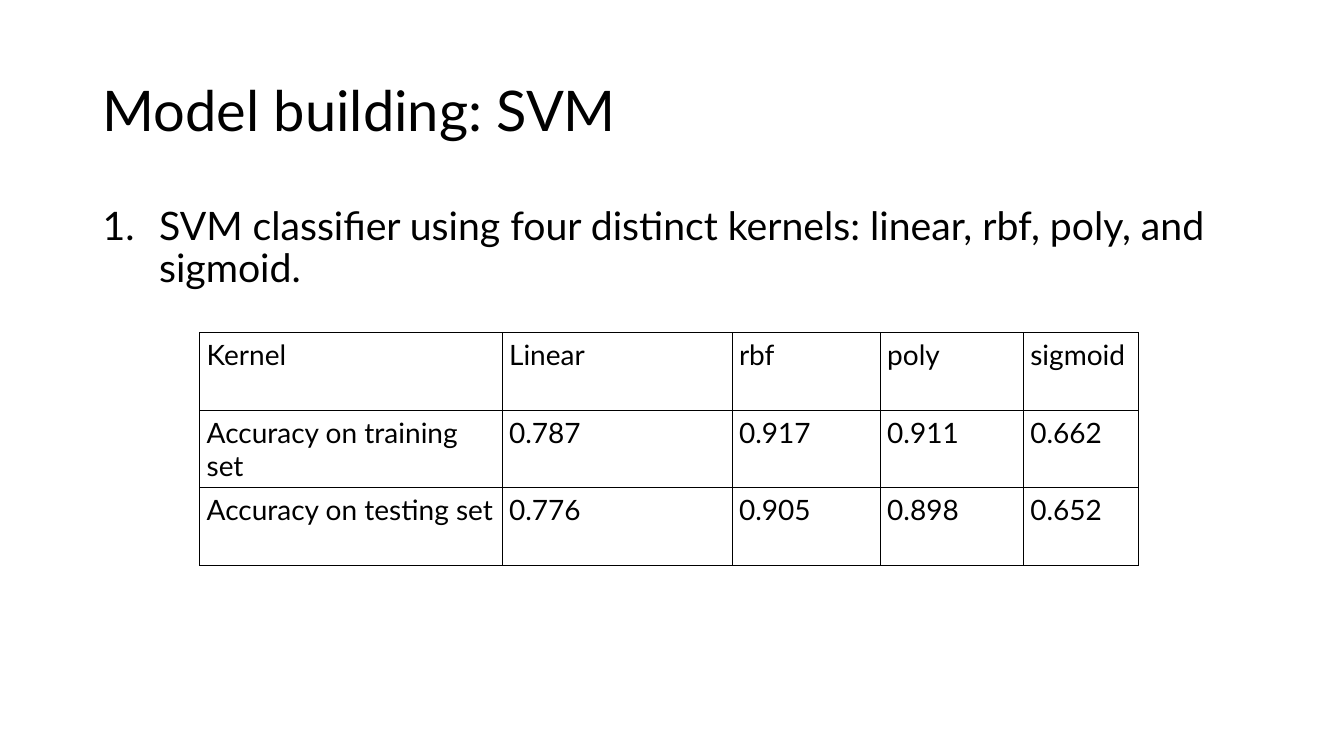
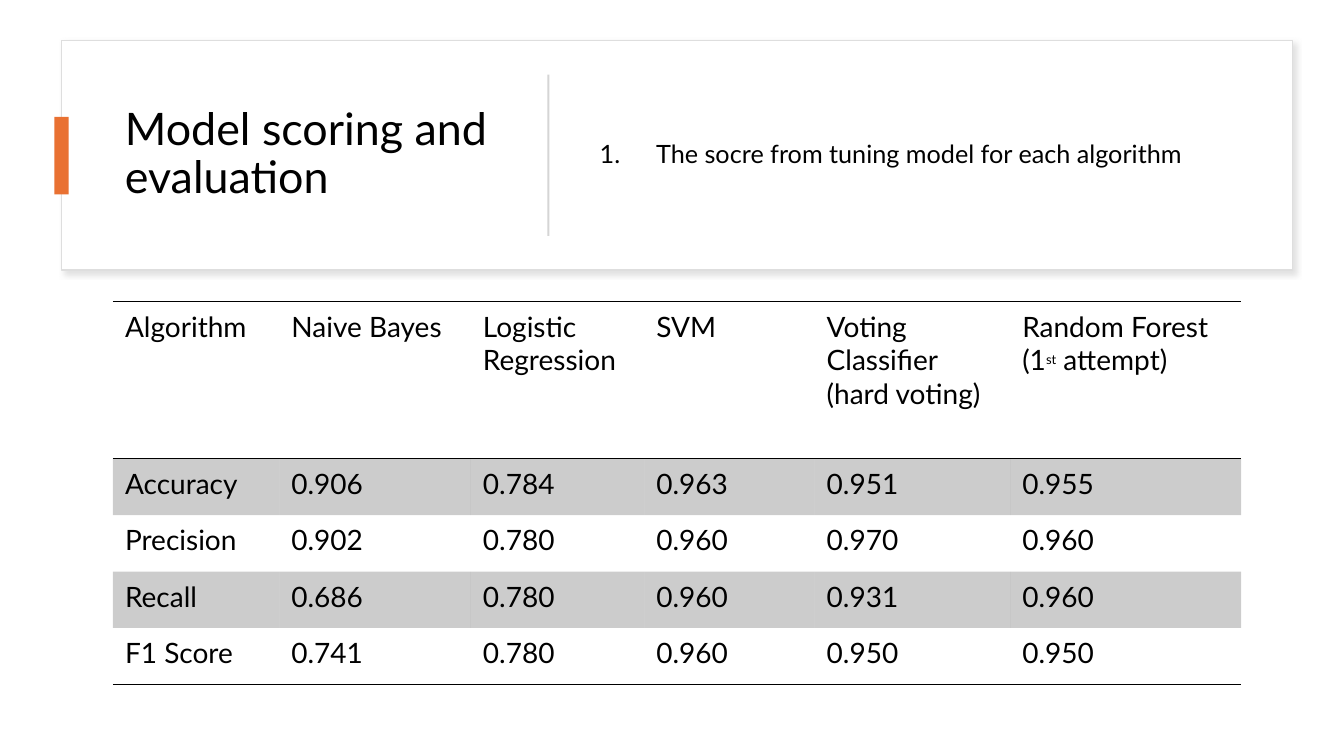
from dataclasses import dataclass

from lxml import etree
from pptx import Presentation
from pptx.dml.color import RGBColor as Rgb
from pptx.enum.shapes import MSO_SHAPE as Shape
from pptx.enum.text import MSO_ANCHOR as Anchor, PP_ALIGN as Align
from pptx.oxml.ns import qn
from pptx.util import Inches, Pt


@dataclass(frozen=True)
class Theme:
    font: str = "Lato"
    ink: str = "000000"
    paper: str = "FFFFFF"
    accent: str = "E97132"
    card_edge: str = "DEDEDE"
    divider: str = "D5D5D5"
    shadow: str = "C5C5C5"
    band_alpha: int = 20
    title: int = 40
    card_title: int = 32
    body: int = 28
    card_body: int = 18
    cell: int = 20
    ordinal: int = 16
    indent: float = 0.56
    plain_table: str = "{2D5ABB26-0587-4C30-8999-92F81FD0307C}"


THEME = Theme()

KERNEL_ROWS = [
    ["Kernel", "Linear", "rbf", "poly", "sigmoid"],
    ["Accuracy on training set", "0.787", "0.917", "0.911", "0.662"],
    ["Accuracy on testing set", "0.776", "0.905", "0.898", "0.652"],
]
# A tuple inside a paragraph marks superscript text
SCORE_ROWS = [
    ["Algorithm", "Naive Bayes", "Logistic Regression", "SVM",
     "Voting Classifier\n(hard voting)",
     ["Random Forest\n(1", ("st",), " attempt)"]],
    ["Accuracy", "0.906", "0.784", "0.963", "0.951", "0.955"],
    ["Precision", "0.902", "0.780", "0.960", "0.970", "0.960"],
    ["Recall", "0.686", "0.780", "0.960", "0.931", "0.960"],
    ["F1 Score", "0.741", "0.780", "0.960", "0.950", "0.950"],
]


def child(parent, tag, **attributes):
    return etree.SubElement(parent, qn(tag), attributes)


def style_run(run, size):
    run.font.name = THEME.font
    run.font.size = Pt(size)
    run.font.color.rgb = Rgb.from_string(THEME.ink)


# Text
def add_text(slide, box, text, size, anchor=Anchor.MIDDLE):
    frame = slide.shapes.add_textbox(*map(Inches, box)).text_frame
    frame.word_wrap = True
    frame.vertical_anchor = anchor
    frame.text = text
    paragraph = frame.paragraphs[0]
    paragraph.alignment = Align.LEFT
    paragraph.line_spacing = 0.9
    style_run(paragraph.runs[0], size)
    return paragraph


def add_numbered(slide, box, text, size, anchor=Anchor.MIDDLE):
    paragraph = add_text(slide, box, text, size, anchor)
    paragraph.space_before = Pt(10)
    properties = paragraph._p.get_or_add_pPr()
    properties.set("marL", str(Inches(THEME.indent)))
    properties.set("indent", str(-Inches(THEME.indent)))
    child(properties, "a:buFont", typeface="+mj-lt")
    child(properties, "a:buAutoNum", type="arabicPeriod")


# Plain rectangles
def add_rect(slide, box, fill, edge=None):
    rect = slide.shapes.add_shape(Shape.RECTANGLE, *map(Inches, box))
    rect.shadow.inherit = False
    rect.fill.solid()
    rect.fill.fore_color.rgb = Rgb.from_string(fill)
    if edge:
        rect.line.color.rgb = Rgb.from_string(edge)
        rect.line.width = Pt(1)
    else:
        rect.line.fill.background()
    return rect


def add_soft_shadow(rect):
    effects = rect._element.spPr.find(qn("a:effectLst"))
    shadow = child(effects, "a:outerShdw", blurRad=str(Pt(4)), dist=str(Pt(3)),
                   dir=str(45 * 60000), algn="tl", rotWithShape="0")
    colour = child(shadow, "a:srgbClr", val=THEME.shadow)
    child(colour, "a:alpha", val="50000")


# Tables
def set_borders(cell, sides, width):
    properties = cell._tc.get_or_add_tcPr()
    for side in "LRTB":
        if side in sides:
            line = child(properties, f"a:ln{side}", w=str(Pt(width)))
            child(child(line, "a:solidFill"), "a:srgbClr", val=THEME.ink)
        else:
            child(child(properties, f"a:ln{side}", w="0"), "a:noFill")


def set_fill(cell, banded):
    if not banded:
        cell.fill.background()
        return
    cell.fill.solid()
    cell.fill.fore_color.rgb = Rgb.from_string(THEME.ink)
    colour = cell._tc.tcPr.find(qn("a:solidFill")).find(qn("a:srgbClr"))
    child(colour, "a:alpha", val=str(THEME.band_alpha * 1000))


def fill_cell(cell, content):
    pieces = [content] if isinstance(content, str) else content
    paragraph = cell.text_frame.paragraphs[0]
    for piece in pieces:
        raised = isinstance(piece, tuple)
        for index, line in enumerate((piece[0] if raised else piece).split("\n")):
            if index:
                paragraph = cell.text_frame.add_paragraph()
            run = paragraph.add_run()
            run.text = line
            style_run(run, THEME.ordinal if raised else THEME.cell)
            if raised:
                run._r.get_or_add_rPr().set("baseline", "30000")


def add_grid(slide, origin, widths, heights, rows, insets, sides_of,
             line_width, banded=False):
    """Place a table at origin; sides_of gives the ruled sides of a row."""
    size = sum(widths), sum(heights)
    grid = slide.shapes.add_table(len(rows), len(widths),
                                  *map(Inches, (*origin, *size))).table
    grid.first_row = grid.horz_banding = False
    grid._tbl.tblPr.find(qn("a:tableStyleId")).text = THEME.plain_table
    for column, width in zip(grid.columns, widths):
        column.width = Inches(width)
    for row, height in zip(grid.rows, heights):
        row.height = Inches(height)
    inset_x, inset_y = map(Inches, insets)
    for row_index, row in enumerate(rows):
        for column_index, content in enumerate(row):
            cell = grid.cell(row_index, column_index)
            cell.margin_left = cell.margin_right = inset_x
            cell.margin_top = cell.margin_bottom = inset_y
            fill_cell(cell, content)
            set_borders(cell, sides_of(row_index), line_width)
            set_fill(cell, banded and row_index % 2 == 1)


# Heading card with accent tab, title, divider and numbered point
def add_heading_card(slide, box, title, point):
    left, top, width, height = box
    middle = top + height / 2
    text_top, text_height = top + 0.24, height - 0.48
    add_soft_shadow(add_rect(slide, box, THEME.paper, THEME.card_edge))
    add_text(slide, (left + 0.53, text_top, 3.89, text_height),
             title, THEME.card_title)
    add_rect(slide, (left - 0.07, middle - 0.38, 0.14, 0.77), THEME.accent)
    add_rect(slide, (left + 4.82, middle - 0.8, 0.02, 1.6), THEME.divider)
    add_numbered(slide, (left + 5.24, text_top, 6.56, text_height),
                 point, THEME.card_body)


# Slides
def build_svm_slide(slide):
    left, width = 0.92, 11.5
    add_text(slide, (left, 0.4, width, 1.45), "Model building: SVM", THEME.title)
    add_numbered(
        slide, (left, 2, width, 4.76),
        "SVM classifier using four distinct kernels: linear, rbf, poly, and sigmoid.",
        THEME.body, Anchor.TOP)
    add_grid(slide, (1.98, 3.3), [3, 2.28, 1.47, 1.42, 1.14], [0.77] * 3,
             KERNEL_ROWS, (0.07, 0.05), lambda row: "LRTB", 0.75)


def build_scoring_slide(slide):
    add_heading_card(slide, (0.61, 0.4, 12.21, 2.28),
                     "Model scoring and evaluation",
                     "The socre from tuning model for each algorithm")
    ruled = {0: "TB", 1: "T", len(SCORE_ROWS) - 1: "B"}
    add_grid(slide, (1.12, 2.99), [1.65, 1.9, 1.72, 1.69, 1.94, 2.29],
             [1.56] + [0.56] * 4, SCORE_ROWS, (0.12, 0.08),
             lambda row: ruled.get(row, ""), 1, banded=True)


def main():
    deck = Presentation()
    deck.slide_width, deck.slide_height = Inches(13.33), Inches(7.5)
    blank = deck.slide_layouts[6]
    for build in (build_svm_slide, build_scoring_slide):
        build(deck.slides.add_slide(blank))
    deck.save("out.pptx")


if __name__ == "__main__":
    main()
